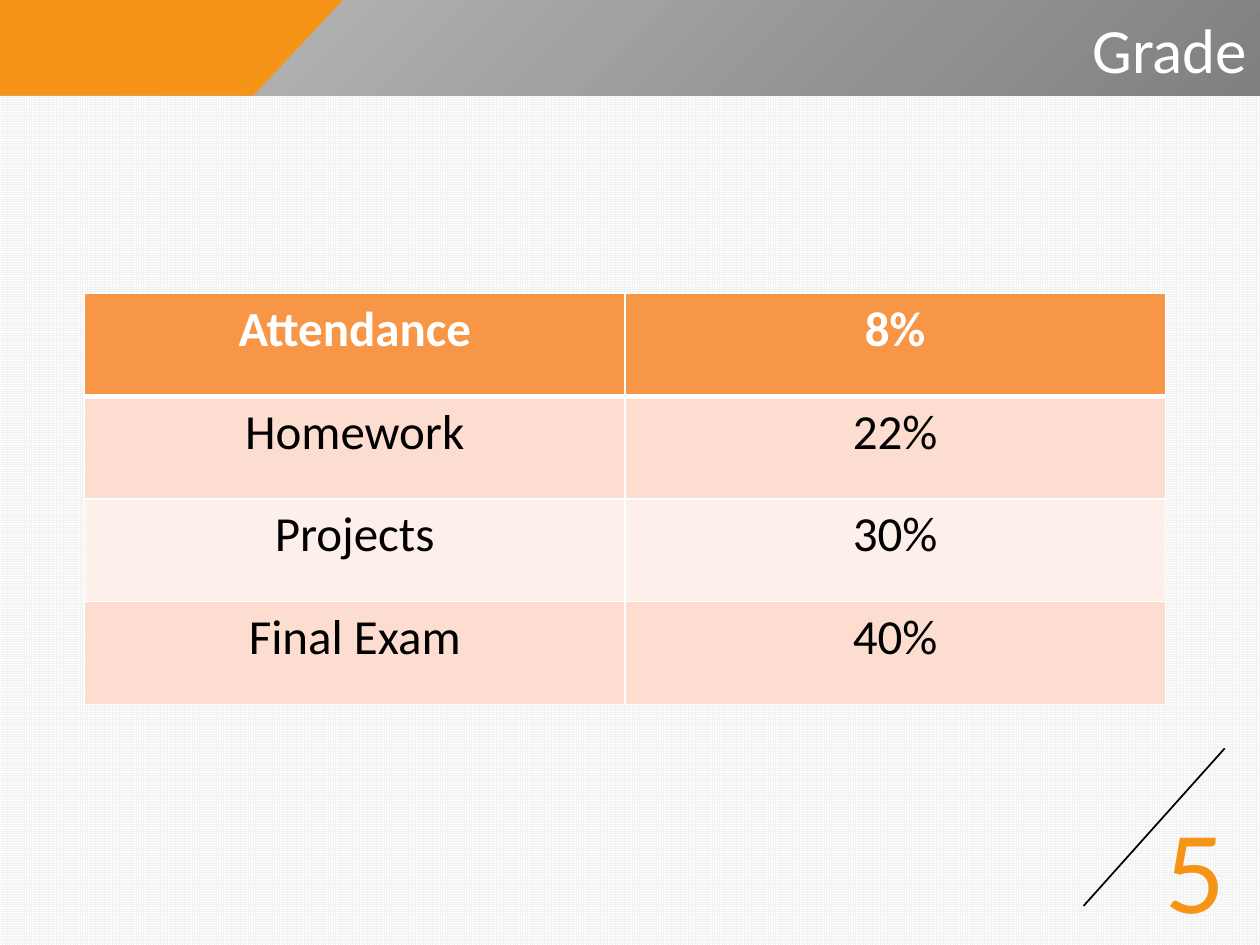
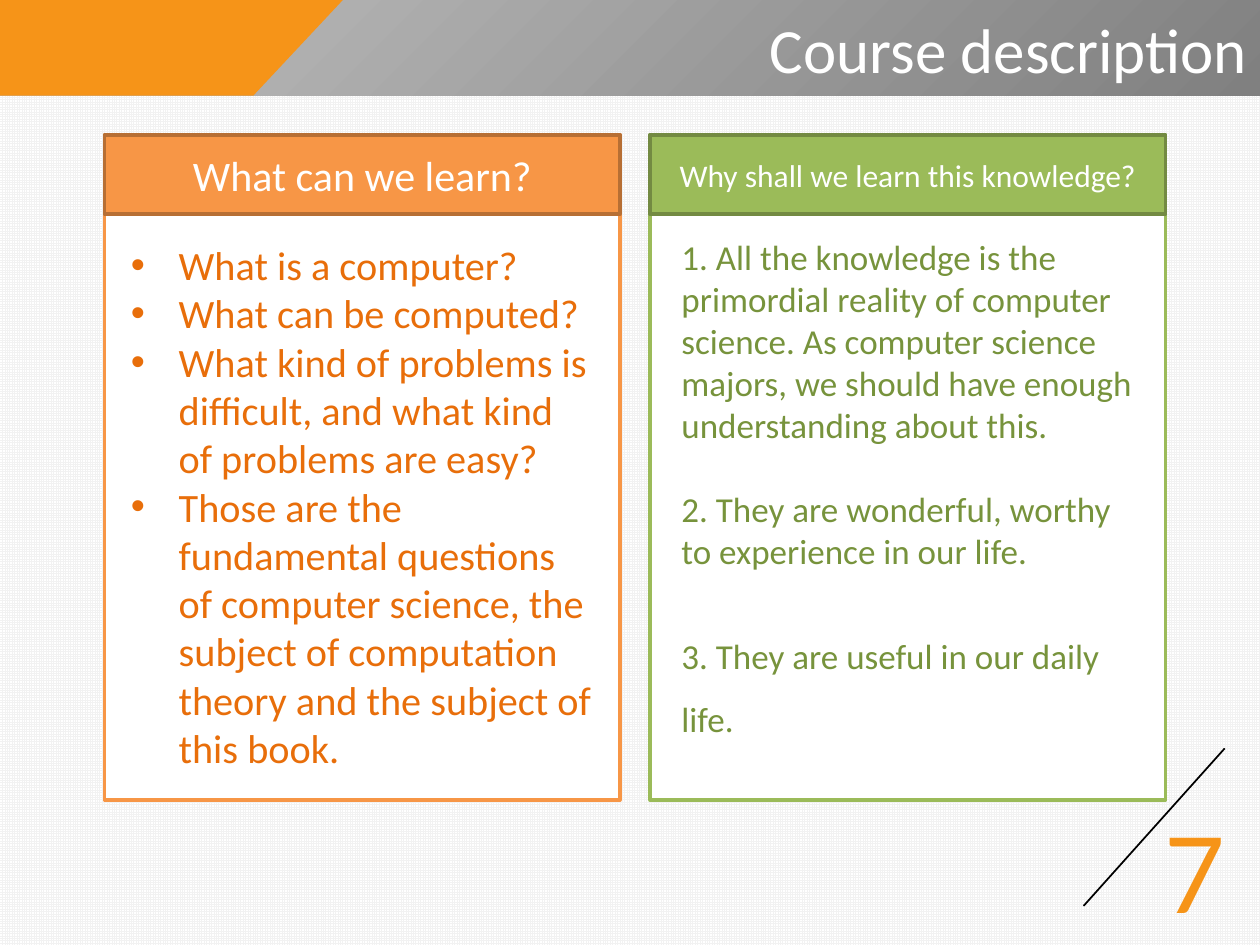
from lxml import etree
from pptx import Presentation
from pptx import util as u
from pptx.dml import color
from pptx.enum import dml, shapes, text
from pptx.oxml import parse_xml
from pptx.oxml.ns import nsdecls, qn

WHITE, BLACK, ACCENT = "FFFFFF", "000000", "F69418"
ORANGE, GREEN = "F79646", "9BBB59"


def rgb(value):
    return color.RGBColor.from_string(value)


def write(frame, lines, hue, size, align=text.PP_ALIGN.LEFT, font="Calibri", bold=False):
    frame.word_wrap = True
    for index, line in enumerate(lines):
        paragraph = frame.paragraphs[0] if index == 0 else frame.add_paragraph()
        paragraph.alignment = align
        run = paragraph.add_run()
        run.text = line
        for name, value in {"name": font, "size": u.Pt(size), "bold": bold}.items():
            setattr(run.font, name, value)
        run.font.color.rgb = rgb(hue)


presentation = Presentation()
presentation.slide_width, presentation.slide_height = u.Inches(10), u.Inches(7.5)
layout = presentation.slide_layouts[5]

background = layout.background.fill
background.patterned()
background.pattern = dml.MSO_PATTERN.SMALL_GRID
background.fore_color.rgb = rgb("F2F2F2")
background.back_color.rgb = rgb(WHITE)

slides = []
for heading, number in [("Grade", "5"), ("Course description", "7")]:
    slide = presentation.slides.add_slide(layout)
    title = slide.shapes.title
    place = {"left": 3.93, "top": 0, "width": 6.07, "height": 0.76}
    for name, value in place.items():
        setattr(title, name, u.Inches(value))
    title.text_frame.vertical_anchor = text.MSO_ANCHOR.MIDDLE
    write(title.text_frame, [heading], WHITE, 36, text.PP_ALIGN.RIGHT)
    slides.append((slide, number))
grade, course = [slide for slide, number in slides]

band = grade.shapes.add_shape(
    shapes.MSO_SHAPE.RECTANGLE, 0, 0, presentation.slide_width, u.Inches(0.76))
band.fill.gradient()
for stop, hue in zip(band.fill.gradient_stops, ["808080", "BFBFBF"]):
    stop.color.rgb = rgb(hue)
direction = band.element.spPr.find(".//" + qn("a:lin"))
direction.getparent().replace(direction, parse_xml(
    f'<a:path {nsdecls("a")} path="circle"><a:fillToRect l="100000" t="100000"/></a:path>'))

corners = [(-0.03, 0.76), (-0.02, -0.02), (2.74, -0.02), (2.01, 0.76)]
points = [(u.Inches(x), u.Inches(y)) for x, y in corners]
builder = grade.shapes.build_freeform(*points[0])
builder.add_line_segments(points[1:], close=True)
corner = builder.convert_to_shape()
corner.fill.solid()
corner.fill.fore_color.rgb = rgb(ACCENT)

for shape in (band, corner):
    shape.shadow.inherit = False
    shape.line.fill.background()

slash = grade.shapes.add_connector(
    shapes.MSO_CONNECTOR.STRAIGHT,
    u.Inches(9.72), u.Inches(5.94), u.Inches(8.6), u.Inches(7.19))
slash.line.color.rgb = rgb(BLACK)
slash.line.width = u.Pt(1)
etree.SubElement(slash.element.spPr, qn("a:effectLst"))

for shape in (band, corner, slash):
    layout.shapes.element.append(shape.element)

rows = [("Attendance", "8%"), ("Homework", "22%"), ("Projects", "30%"), ("Final Exam", "40%")]
row_fills = [ORANGE, "FCDDCF", "FDEFE9", "FCDDCF"]
table = grade.shapes.add_table(
    len(rows), 2, u.Inches(0.67), u.Inches(2.33), u.Inches(8.58), u.Inches(3.26)).table
for row, values in enumerate(rows):
    for column, value in enumerate(values):
        cell = table.cell(row, column)
        cell.fill.solid()
        cell.fill.fore_color.rgb = rgb(row_fills[row])
        header = row == 0
        write(cell.text_frame, [value], WHITE if header else BLACK, 28,
              text.PP_ALIGN.CENTER, bold=header)
        borders = {"L": 1, "R": 1, "T": 3 if row == 1 else 1, "B": 3 if header else 1}
        properties = cell._tc.get_or_add_tcPr()
        for position, (side, width) in enumerate(borders.items()):
            properties.insert(position, parse_xml(
                f'<a:ln{side} {nsdecls("a")} w="{u.Pt(width)}"><a:solidFill>'
                f'<a:srgbClr val="{WHITE}"/></a:solidFill></a:ln{side}>'))

questions = [
    "What is a computer?",
    "What can be computed?",
    "What kind of problems is difficult, and what kind of problems are easy?",
    "Those are the fundamental questions of computer science, the subject of "
    "computation theory and the subject of this book.",
]
reasons = [
    "1. All the knowledge is the primordial reality of computer science. As computer "
    "science majors, we should have enough understanding about this.",
    "2. They are wonderful, worthy to experience in our life.",
    "3. They are useful in our daily life.",
]
cards = [
    (0.83, "What can we learn?", 24, ORANGE, "B76F34",
     questions, (0.94, 1.86, 3.86, 4.36), 23, "E86E0A"),
    (5.16, "Why shall we learn this knowledge?", 18, GREEN, "738A42",
     reasons, (5.31, 1.82, 3.78, 4.14), 20, "77933C"),
]
bodies = []
for left, heading, heading_size, hue, edge, lines, place, size, ink in cards:
    for height, fill, outline in [(5.28, WHITE, hue), (0.63, hue, edge)]:
        box = course.shapes.add_shape(
            shapes.MSO_SHAPE.RECTANGLE,
            u.Inches(left), u.Inches(1.07), u.Inches(4.09), u.Inches(height))
        box.shadow.inherit = False
        box.fill.solid()
        box.fill.fore_color.rgb = rgb(fill)
        box.line.color.rgb = rgb(outline)
        box.line.width = u.Pt(2)
    box.text_frame.vertical_anchor = text.MSO_ANCHOR.MIDDLE
    write(box.text_frame, [heading], WHITE, heading_size, text.PP_ALIGN.CENTER)
    body = course.shapes.add_textbox(*map(u.Inches, place)).text_frame
    write(body, lines, ink, size)
    bodies.append(body)

question_body, reason_body = bodies
for paragraph in question_body.paragraphs:
    properties = paragraph._p.get_or_add_pPr()
    properties.set("marL", str(u.Inches(0.38)))
    properties.set("indent", str(u.Inches(-0.38)))
    etree.SubElement(properties, qn("a:buFont")).set("typeface", "Arial")
    etree.SubElement(properties, qn("a:buChar")).set("char", "•")
for paragraph in reason_body.paragraphs[1:]:
    paragraph.space_before = u.Pt(24)
reason_body.paragraphs[-1].line_spacing = 1.5

for slide, number in slides:
    page = slide.shapes.add_textbox(
        u.Inches(9.14), u.Inches(6.37), u.Inches(0.7), u.Inches(1.11))
    write(page.text_frame, [number], ACCENT, 60, font="Lato")

presentation.save("out.pptx")
